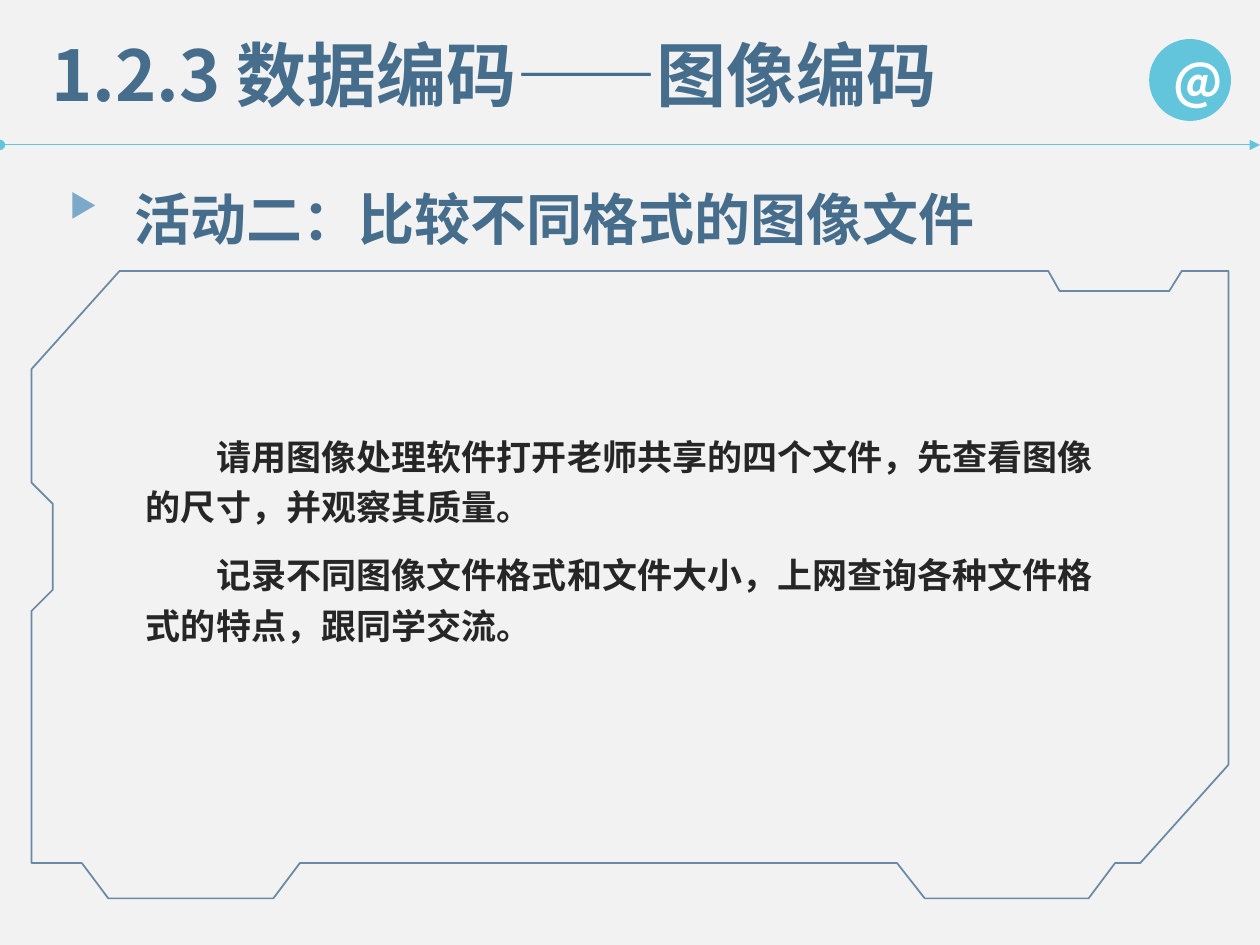
from lxml.etree import SubElement
from pptx import Presentation
from pptx.dml.color import RGBColor
from pptx.enum.shapes import MSO_CONNECTOR, MSO_SHAPE
from pptx.enum.text import MSO_ANCHOR, MSO_AUTO_SIZE, PP_ALIGN
from pptx.oxml.ns import qn
from pptx.util import Inches, Pt

FONT = "Noto Sans CJK SC"
CYAN, BLUE = "62C5DC", "466E8C"


def rgb(value):
    return RGBColor.from_string(value)


def add_run(p, text, size, color):
    r = p.add_run()
    r.text = text
    r.font.size = Pt(size)
    r.font.bold = True
    r.font.name = FONT
    r.font.color.rgb = rgb(color)
    SubElement(r.font._element, qn("a:ea"), typeface=FONT)


prs = Presentation()
prs.slide_width, prs.slide_height = Inches(10), Inches(7.5)
s = prs.slides.add_slide(prs.slide_layouts[5])
s.background.fill.solid()
s.background.fill.fore_color.rgb = rgb("F2F2F2")

# Title
title = s.shapes.title
title.left, title.top = Inches(0.31), Inches(0.2)
title.width, title.height = Inches(8.31), Inches(0.77)
tf = title.text_frame
tf.auto_size = MSO_AUTO_SIZE.NONE
tf.word_wrap = True
tf.vertical_anchor = MSO_ANCHOR.TOP
p = tf.paragraphs[0]
p.alignment = PP_ALIGN.LEFT
add_run(p, "1.2.3 数据编码——图像编码", 40, BLUE)

# Divider under the title
divider = s.shapes.add_connector(
    MSO_CONNECTOR.STRAIGHT, 0, Inches(1.15), Inches(10), Inches(1.15))
divider.line.color.rgb = rgb(CYAN)
divider.line.width = Pt(0.5)
ln = divider.line._get_or_add_ln()
SubElement(ln, qn("a:headEnd"), type="oval")
SubElement(ln, qn("a:tailEnd"), type="triangle")
SubElement(divider._element.spPr, qn("a:effectLst"))

# Badge and heading marker
badge = s.shapes.add_shape(
    MSO_SHAPE.OVAL, Inches(9.12), Inches(0.31), Inches(0.65), Inches(0.65))
marker = s.shapes.add_shape(
    MSO_SHAPE.ISOSCELES_TRIANGLE, Inches(0.56), Inches(1.54), Inches(0.21), Inches(0.18))
marker.rotation = 90
for sp, color in ((badge, CYAN), (marker, "7BA9CA")):
    sp.shadow.inherit = False
    sp.fill.solid()
    sp.fill.fore_color.rgb = rgb(color)
    sp.line.fill.background()
tf = badge.text_frame
tf.vertical_anchor = MSO_ANCHOR.MIDDLE
p = tf.paragraphs[0]
p.alignment = PP_ALIGN.CENTER
add_run(p, "@", 28, "FFFFFF")

# Activity heading
heading = s.shapes.add_textbox(Inches(0.97), Inches(1.15), Inches(8.31), Inches(0.78))
tf = heading.text_frame
tf.word_wrap = True
p = tf.paragraphs[0]
p.line_spacing = 1.5
add_run(p, "活动二：比较不同格式的图像文件", 32, BLUE)

# Notched frame
outline = [
    (7.34, 7.13), (8.64, 7.13), (8.85, 6.85), (9.05, 6.85), (9.75, 6.07),
    (9.75, 2.15), (9.38, 2.15), (9.28, 2.31), (8.41, 2.31), (8.32, 2.15),
    (0.95, 2.15), (0.25, 2.93), (0.25, 3.83), (0.42, 4), (0.42, 4.68),
    (0.25, 4.85), (0.25, 6.85), (0.65, 6.85), (0.86, 7.13), (2.17, 7.13),
    (2.38, 6.85), (7.12, 6.85),
]
points = [(Inches(x), Inches(y)) for x, y in outline]
builder = s.shapes.build_freeform(*points[0])
builder.add_line_segments(points[1:], close=True)
frame = builder.convert_to_shape()
frame.shadow.inherit = False
frame.fill.background()
frame.line.color.rgb = rgb("1F4E79")
frame.line.width = Pt(1)
frame_color = frame.line._get_or_add_ln().find(".//" + qn("a:srgbClr"))
SubElement(frame_color, qn("a:alpha"), val="64000")

# Task text, first lines indented by two characters
tasks = [
    "请用图像处理软件打开老师共享的四个文件，先查看图像的尺寸，并观察其质量。",
    "记录不同图像文件格式和文件大小，上网查询各种文件格式的特点，跟同学交流。",
]
body = s.shapes.add_textbox(Inches(1.06), Inches(3.34), Inches(7.89), Inches(2.35))
tf = body.text_frame
tf.word_wrap = True
for i, task in enumerate(tasks):
    p = tf.add_paragraph() if i else tf.paragraphs[0]
    p.line_spacing = 1.2
    p.space_after = Pt(10)
    p._p.get_or_add_pPr().set("indent", str(Inches(0.56)))
    add_run(p, task, 20, "262626")

prs.save("out.pptx")
